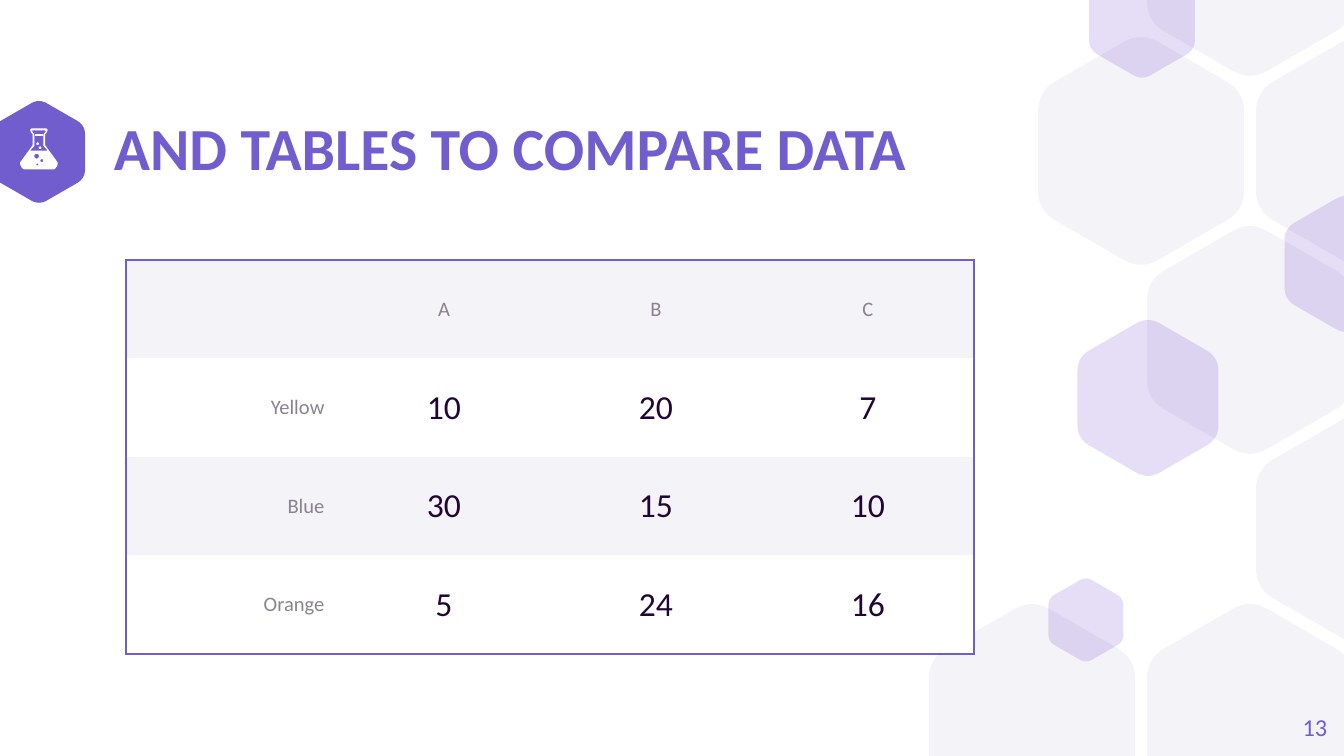
import math

from lxml import etree
from pptx import Presentation
from pptx.dml.color import RGBColor
from pptx.enum.text import MSO_ANCHOR, MSO_AUTO_SIZE, PP_ALIGN
from pptx.oxml.ns import qn
from pptx.util import Pt

LEFT, CENTER, RIGHT = PP_ALIGN.LEFT, PP_ALIGN.CENTER, PP_ALIGN.RIGHT
MIDDLE = MSO_ANCHOR.MIDDLE
NO_FIT = MSO_AUTO_SIZE.NONE

PX = 914400 / 134.4
WIDTH, HEIGHT = 1344, 756
FONT = "Calibri"
PURPLE, TINT, GREY, WHITE = "725DCF", "5322C9", "F4F3F8", "FFFFFF"
LABEL, INK = "89828F", "210635"

# Content
TITLE = "AND TABLES TO COMPARE DATA"
PAGE = "13"
ROWS = [
    ["", "A", "B", "C"],
    ["Yellow", "10", "20", "7"],
    ["Blue", "30", "15", "10"],
    ["Orange", "5", "24", "16"],
]
TABLE_X, TABLE_Y, COL_W, TABLE_H = 126, 260, 212, 394

# Honeycomb of grey hexagons: (column, row) on a regular lattice
HONEYCOMB = [(0, 4), (2, 4), (3, 1), (2, 0), (2, 2), (1, 1), (3, 3)]
COMB_X, COMB_Y, COMB_DX, COMB_DY, COMB_W = 1032, -38, 109, 189, 206
# Tinted hexagons: centre x, centre y, width
TINTED = [(1346, 264, 123), (1086, 620, 75), (1142, 19, 106), (1148, 398, 141)]
BADGE = (39, 152, 92)

# Flask in tenths of a px: right half of each profile, then circles (x, y, radius)
FLASK_X = 389
FLASK_OUTER = [(75, 1285), (88, 1298), (82, 1318), (62, 1345), (62, 1452),
               (188, 1625), (188, 1645), (170, 1680), (152, 1693)]
FLASK_INNER = [(64, 1303), (70, 1312), (46, 1345), (46, 1460), (88, 1506)]
FLASK_RIM = [(40, 1344), (40, 1355)]
HOLES = [(366, 1562, 24), (418, 1606, 15), (373, 1646, 10)]
BUBBLES = [(402, 1478, 13), (376, 1438, 13)]


def px(n):
    return round(n * PX)


def rgb(color):
    return RGBColor.from_string(color)


def write(tf, text, size, color, align, bold=False):
    tf.vertical_anchor = MIDDLE
    p = tf.paragraphs[0]
    p.alignment = align
    r = p.add_run()
    r.text = text
    r.font.name, r.font.size, r.font.bold = FONT, Pt(size), bold
    r.font.color.rgb = rgb(color)
    return p


def frame(tf):
    tf.margin_left = tf.margin_right = tf.margin_top = tf.margin_bottom = 0
    tf.word_wrap = True
    tf.auto_size = NO_FIT


def freeform(contours, color, unit=1, alpha=None):
    """Draw closed contours as one shape; inner contours become holes."""
    fb = None
    for contour in contours:
        pts = [(px(x * unit), px(y * unit)) for x, y in contour]
        if fb is None:
            fb = s.shapes.build_freeform(*pts[0])
        else:
            fb.move_to(*pts[0])
        fb.add_line_segments(pts[1:], close=True)
    sp = fb.convert_to_shape()
    sp.shadow.inherit = False
    sp.fill.solid()
    sp.fill.fore_color.rgb = rgb(color)
    sp.line.fill.background()
    if alpha is not None:
        clr = sp.fill._xPr.find(".//" + qn("a:srgbClr"))
        etree.SubElement(clr, qn("a:alpha"), val=str(alpha * 1000))


def hexagon(cx, cy, width, color, alpha=None):
    """Upright hexagon with rounded corners, cut at the slide's top and bottom."""
    radius = width / math.sqrt(3)
    corners = [(cx + radius * math.sin(math.radians(60 * i)),
                cy - radius * math.cos(math.radians(60 * i))) for i in range(6)]
    pts = []
    for i, corner in enumerate(corners):
        before, after = corners[i - 1], corners[(i + 1) % 6]
        start, end = ([c + 0.17 * (n - c) for c, n in zip(corner, near)]
                      for near in (before, after))
        for t in (k / 8 for k in range(9)):
            x, y = ((1 - t) ** 2 * a + 2 * t * (1 - t) * b + t * t * c
                    for a, b, c in zip(start, corner, end))
            pts.append((x, min(max(y, 0), HEIGHT)))
    freeform([pts], color, alpha=alpha)


def mirrored(half):
    return ([(FLASK_X + x, y) for x, y in half]
            + [(FLASK_X - x, y) for x, y in reversed(half)])


def circle(cx, cy, r):
    angles = [math.radians(20 * k) for k in range(18)]
    return [(cx + r * math.cos(a), cy + r * math.sin(a)) for a in angles]


def set_borders(cell, sides):
    """Outline the named sides and clear the others."""
    tcPr = cell._tc.get_or_add_tcPr()
    for i, side in enumerate("LRTB"):
        ln = etree.Element(qn("a:ln" + side), w=str(Pt(1.5)))
        if side in sides:
            fill = etree.SubElement(ln, qn("a:solidFill"))
            etree.SubElement(fill, qn("a:srgbClr"), val=PURPLE)
        else:
            etree.SubElement(ln, qn("a:noFill"))
        tcPr.insert(i, ln)


prs = Presentation()
prs.slide_width, prs.slide_height = px(WIDTH), px(HEIGHT)
s = prs.slides.add_slide(prs.slide_layouts[5])

# Background hexagons and title badge
hexagon(*BADGE, PURPLE)
for col, row in HONEYCOMB:
    hexagon(COMB_X + col * COMB_DX, COMB_Y + row * COMB_DY, COMB_W, GREY)
for spot in TINTED:
    hexagon(*spot, TINT, alpha=15)

# Flask icon
freeform([mirrored(FLASK_OUTER), mirrored(FLASK_INNER)]
         + [circle(*c) for c in HOLES], WHITE, unit=0.1)
for part in [mirrored(FLASK_RIM)] + [circle(*c) for c in BUBBLES]:
    freeform([part], WHITE, unit=0.1)

# Title
title = s.shapes.title
title.left, title.top, title.width, title.height = map(px, (114, 122, 883, 58))
frame(title.text_frame)
write(title.text_frame, TITLE, 32, PURPLE, LEFT, bold=True).line_spacing = 0.9

# Table
n_rows, n_cols = len(ROWS), len(ROWS[0])
table = s.shapes.add_table(n_rows, n_cols, px(TABLE_X), px(TABLE_Y),
                           px(COL_W * n_cols), px(TABLE_H)).table
table.first_row = table.horz_banding = False
for i, row in enumerate(ROWS):
    for j, text in enumerate(row):
        cell = table.cell(i, j)
        cell.margin_top = cell.margin_bottom = px(9)
        cell.vertical_anchor = MIDDLE
        cell.fill.solid()
        cell.fill.fore_color.rgb = rgb(WHITE if i % 2 else GREY)
        edges = {"L": j == 0, "R": j == n_cols - 1, "T": i == 0, "B": i == n_rows - 1}
        set_borders(cell, [side for side, outer in edges.items() if outer])
        if text:
            size, color = (11, LABEL) if i == 0 or j == 0 else (18, INK)
            write(cell.text_frame, text, size, color, CENTER if j else RIGHT)
            cell.vertical_anchor = MIDDLE

# Page number
box = s.shapes.add_textbox(*map(px, (1246, 698, 81, 58)))
frame(box.text_frame)
write(box.text_frame, PAGE, 13, PURPLE, RIGHT)

prs.save("out.pptx")
